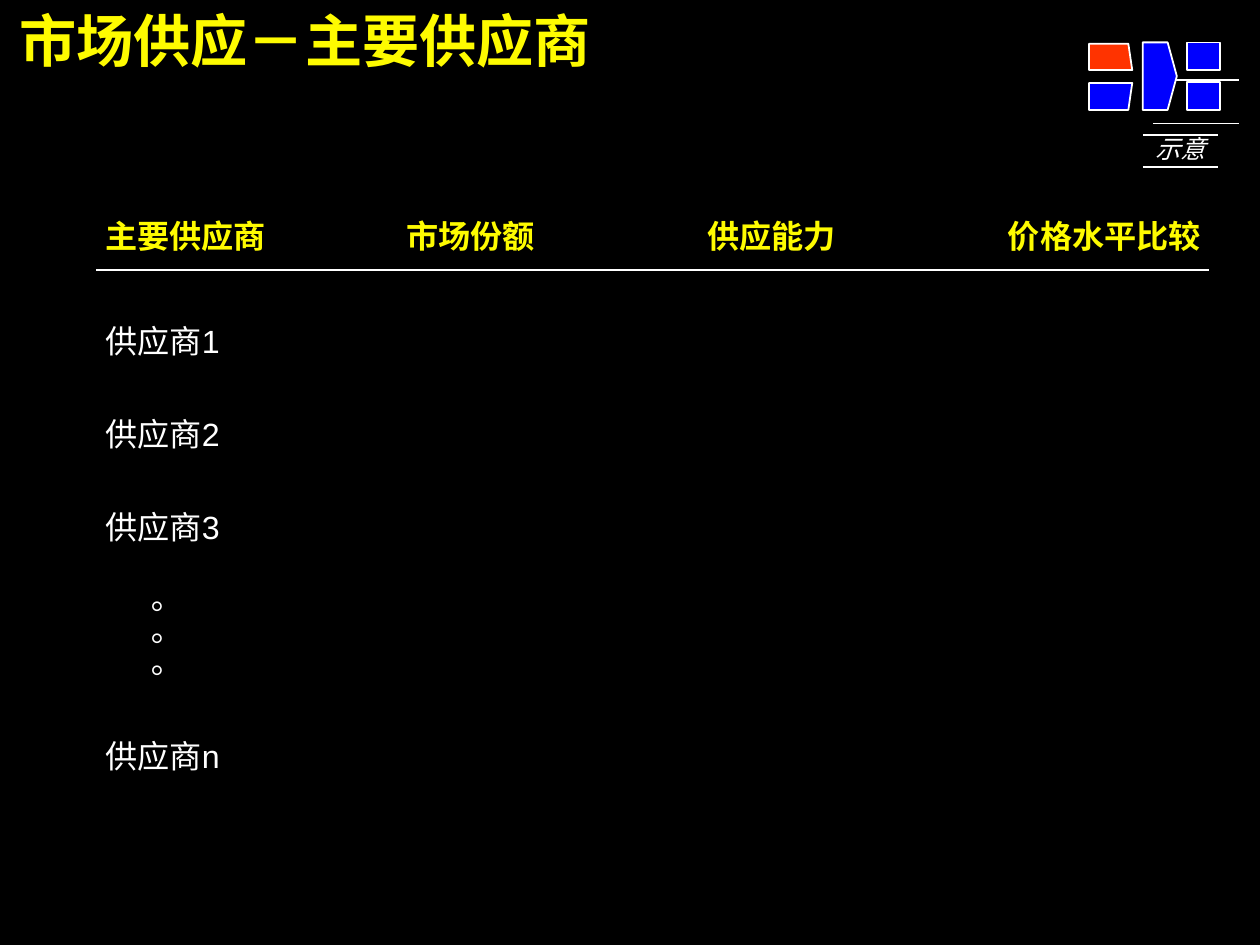
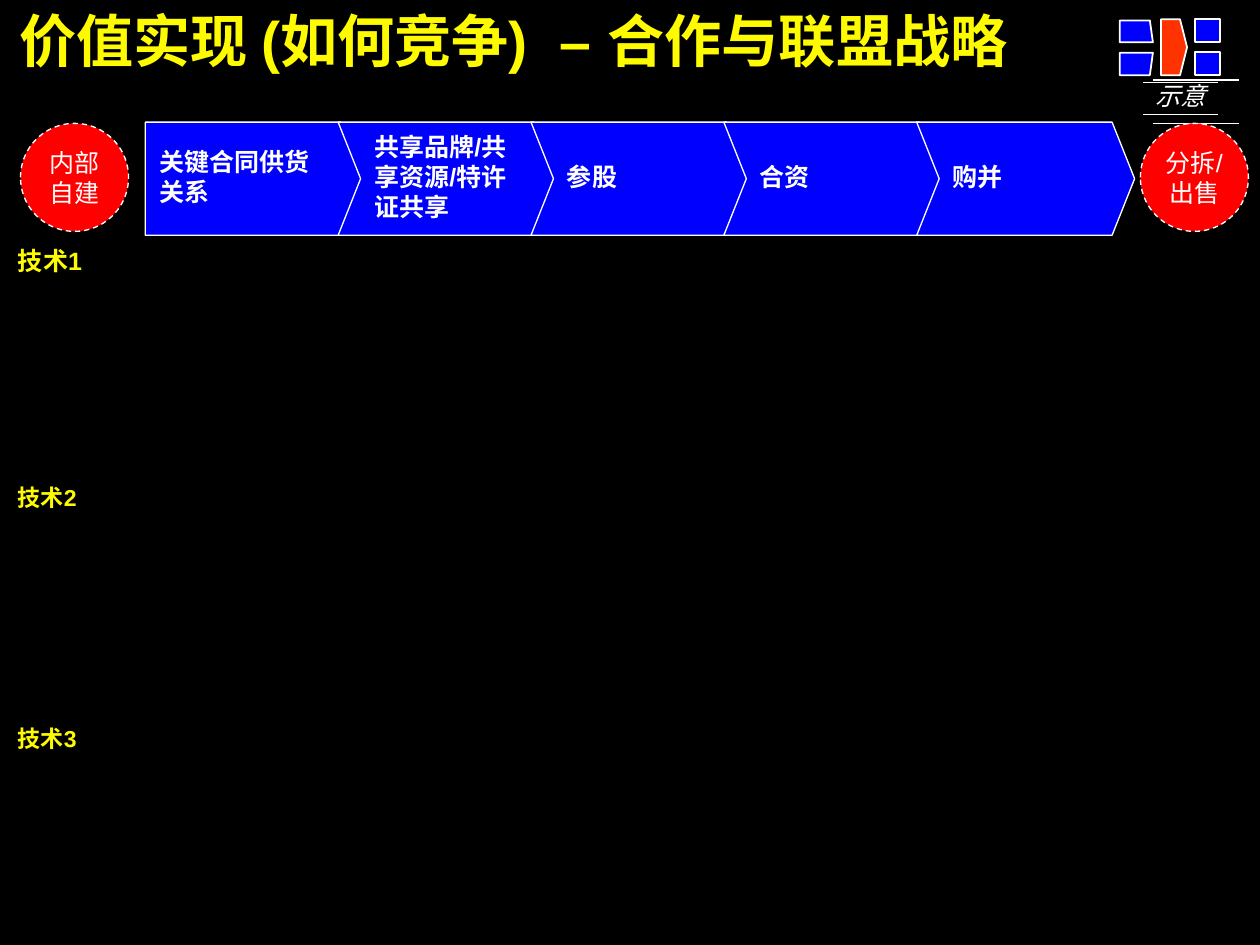
from lxml import etree
from pptx import Presentation
from pptx.dml.color import RGBColor
from pptx.enum.dml import MSO_LINE
from pptx.enum.shapes import MSO_CONNECTOR, MSO_SHAPE
from pptx.enum.text import MSO_ANCHOR, PP_ALIGN
from pptx.oxml.ns import qn
from pptx.util import Inches, Pt

STRAIGHT = MSO_CONNECTOR.STRAIGHT
RECTANGLE, OVAL = MSO_SHAPE.RECTANGLE, MSO_SHAPE.OVAL
TOP, MIDDLE = MSO_ANCHOR.TOP, MSO_ANCHOR.MIDDLE
LEFT, CENTER, RIGHT = PP_ALIGN.LEFT, PP_ALIGN.CENTER, PP_ALIGN.RIGHT
DASH = MSO_LINE.DASH

COLORS = {
    "black": "000000",
    "white": "FFFFFF",
    "yellow": "FEFB00",
    "blue": "0000FE",
    "red": "FF0000",
    "orange": "FF3300",
}
LATIN, EAST_ASIAN = "Arial", "Noto Sans CJK SC"

# The slide is a grid of square cells; every position below counts cells.
COLUMNS = 98
WIDTH, HEIGHT = Inches(9.8), Inches(7.35)


def cells(count):
    return round(count * WIDTH / COLUMNS)


def color(name):
    return RGBColor.from_string(COLORS[name])


class Deck:
    """Holds the presentation, its style and the slide being filled."""

    def __init__(self):
        self.presentation = Presentation()
        self.presentation.slide_width = WIDTH
        self.presentation.slide_height = HEIGHT
        self.slide = None

    def new_slide(self, title):
        self.slide = self.presentation.slides.add_slide(
            self.presentation.slide_layouts[6])
        fill = self.slide.background.fill
        fill.solid()
        fill.fore_color.rgb = color("black")
        for y in (9.6, 6.2):
            self.line(89.7, 96.4, y, 1)
        self.text(title, 1.5, 0.4, 94, 5.3, size=32, fill="yellow", bold=True)

    def line(self, left, right, y, weight):
        """Draw a horizontal white rule."""
        connector = self.slide.shapes.add_connector(
            STRAIGHT, cells(left), cells(y), cells(right), cells(y))
        connector.line.color.rgb = color("white")
        connector.line.width = Pt(weight)
        etree.SubElement(connector._element.spPr, qn("a:effectLst"))

    def fill_frame(self, frame, lines, size=18, fill="white", bold=False,
                   italic=False, align=LEFT, anchor=TOP, margins=(0, 0),
                   wrap=True, spacing=None, font=LATIN):
        """Fill a text frame, one paragraph for each line."""
        frame.word_wrap = wrap
        frame.vertical_anchor = anchor
        frame.margin_left = frame.margin_right = cells(margins[0])
        frame.margin_top = frame.margin_bottom = cells(margins[1])
        for index, line in enumerate(lines):
            paragraph = frame.add_paragraph() if index else frame.paragraphs[0]
            paragraph.alignment = align
            paragraph.line_spacing = spacing
            run = paragraph.add_run()
            run.text = line
            run.font.name = font
            run.font.size = Pt(size)
            run.font.bold = bold
            run.font.italic = italic
            run.font.color.rgb = color(fill)
            etree.SubElement(run._r.get_or_add_rPr(), qn("a:ea"),
                             typeface=EAST_ASIAN)

    def text(self, words, left, top, width, height, rotation=0, **style):
        box = self.slide.shapes.add_textbox(
            cells(left), cells(top), cells(width), cells(height))
        box.rotation = rotation
        self.fill_frame(box.text_frame, [words], **style)

    def paint(self, shape, fill, weight):
        shape.shadow.inherit = False
        shape.fill.solid()
        shape.fill.fore_color.rgb = color(fill)
        shape.line.color.rgb = color("white")
        shape.line.width = Pt(weight)

    def preset(self, kind, left, top, width, height, fill, weight=1):
        shape = self.slide.shapes.add_shape(
            kind, cells(left), cells(top), cells(width), cells(height))
        self.paint(shape, fill, weight)
        return shape

    def polygon(self, points, fill, weight=1):
        corners = [(cells(x), cells(y)) for x, y in points]
        builder = self.slide.shapes.build_freeform(*corners[0])
        builder.add_line_segments(corners[1:], close=True)
        self.paint(builder.convert_to_shape(), fill, weight)

    def circle(self, left, lines):
        shape = self.preset(OVAL, left, 9.6, 8.4, 8.4, "red", 0.75)
        shape.line.dash_style = DASH
        self.fill_frame(shape.text_frame, lines, size=14, align=CENTER,
                        anchor=MIDDLE, margins=(1, 0.5), wrap=False)

    def badge(self, top):
        """Place the label between two rules that marks a sketch."""
        self.text("示意", 89.9, top, 3.9, 2.3, size=14, italic=True,
                  align=RIGHT, wrap=False, font=EAST_ASIAN)
        for offset in (0.1, 2.6):
            self.line(88.9, 94.7, top + offset, 0.75)

    def navigator(self, left, top, width, height, active):
        """Draw the five-part chapter map; its parts are shares of its size."""
        def fill(part):
            return "orange" if part == active else "blue"

        def place(points):
            return [(left + x * width, top + y * height) for x, y in points]

        for y in (0, 0.59):
            self.preset(RECTANGLE, left + 0.75 * width, top + y * height,
                        0.25 * width, 0.41 * height, "blue")
        self.polygon(place([(0.41, 0), (0.6, 0), (0.67, 0.5), (0.6, 1),
                            (0.41, 1)]), fill("middle"))
        for part, outer, inner in (("lower", 1, 0.6), ("upper", 0.02, 0.41)):
            self.polygon(place([(0, outer), (0.3, outer), (0.33, inner),
                                (0, inner)]), fill(part))

    def chevron(self, index, words):
        """Add one step of the chain; the first step has a flat left end."""
        pitch, notch, top, bottom = 15, 1.75, 9.5, 18.3
        left = 11.3 + index * pitch
        shoulder, middle = left + 15.2, (top + bottom) / 2
        points = [(left, top), (shoulder, top), (shoulder + notch, middle),
                  (shoulder, bottom), (left, bottom)]
        if index:
            points.append((left + notch, middle))
        self.polygon(points, "blue", 0.75)
        inset = 2.3 if index else 0.6
        self.text(words, left + inset, 10, 15.2 - inset, 7.5, size=14,
                  bold=True, anchor=MIDDLE, margins=(0.5, 0))


def suppliers(deck):
    deck.new_slide("市场供应－主要供应商")
    headings = ["主要供应商", "市场份额", "供应能力", "价格水平比较"]
    for index, heading in enumerate(headings):
        deck.text(heading, 8.2 + index * 23.4, 16.8, 16, 3,
                  fill="yellow", bold=True)
    deck.line(7.5, 94, 21, 1)
    for name, top in (("1", 25), ("2", 32.25), ("3", 39.5), ("n", 57.3)):
        deck.text("供应商" + name, 8.2, top, 16, 3)
    deck.text("。。。", 8, 50.2, 10, 3, rotation=90)
    deck.badge(10.4)
    deck.navigator(84.7, 3.3, 10.2, 5.25, active="upper")


def alliances(deck):
    deck.new_slide("价值实现 (如何竞争)  – 合作与联盟战略")
    steps = ["关键合同供货关系", "共享品牌/共享资源/特许证共享",
             "参股", "合资", "购并"]
    for index, step in enumerate(steps):
        deck.chevron(index, step)
    deck.circle(1.6, ["内部", "自建"])
    deck.circle(88.7, ["分拆/", "出售"])
    deck.badge(6.3)
    deck.navigator(87.1, 1.5, 7.8, 4.35, active="middle")
    sizes = [(14, None), (12.9, 0.9), (12.9, 0.9)]
    for index, (size, spacing) in enumerate(sizes):
        deck.text(f"技术{index + 1}", 1.4, 19.1 + index * 18.75, 14, 2.3,
                  size=size, spacing=spacing, fill="yellow", bold=True)


def main():
    deck = Deck()
    suppliers(deck)
    alliances(deck)
    deck.presentation.save("out.pptx")


if __name__ == "__main__":
    main()
